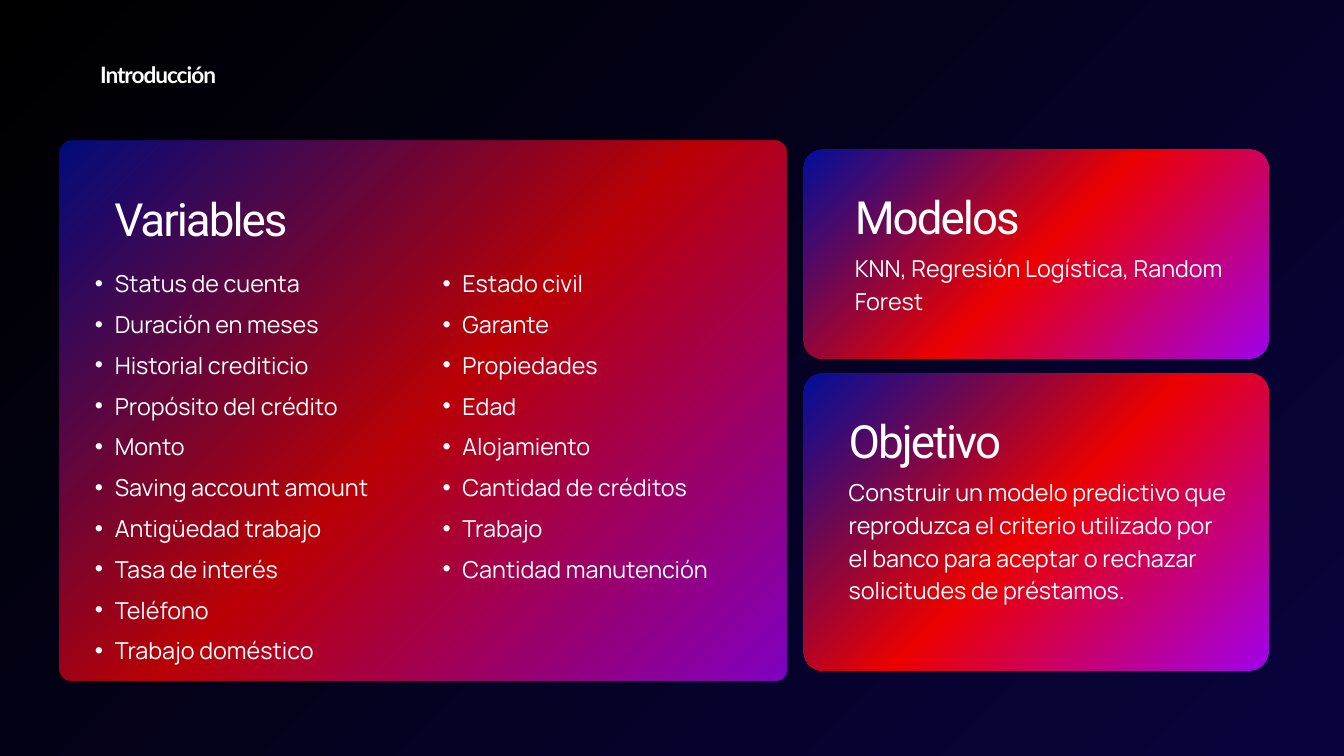
from lxml import etree
from pptx import Presentation, util as u
from pptx.dml.color import RGBColor
from pptx.enum import shapes, text
from pptx.oxml import ns

BLACK = RGBColor(0x00, 0x00, 0x00)
NIGHT = RGBColor(0x09, 0x03, 0x3D)
BLUE = RGBColor(0x00, 0x0F, 0x9B)
RED = RGBColor(0xEB, 0x00, 0x00)
PURPLE = RGBColor(0xA0, 0x00, 0xEB)
WHITE = RGBColor(0xFF, 0xFF, 0xFF)

LEFT_VARIABLES = [
    "Status de cuenta", "Duración en meses", "Historial crediticio",
    "Propósito del crédito", "Monto", "Saving account amount",
    "Antigüedad trabajo", "Tasa de interés", "Teléfono", "Trabajo doméstico",
]
RIGHT_VARIABLES = [
    "Estado civil", "Garante", "Propiedades", "Edad", "Alojamiento",
    "Cantidad de créditos", "Trabajo", "Cantidad manutención",
]
MODELS = "KNN, Regresión Logística, Random Forest"
GOAL = ("Construir un modelo predictivo que reproduzca el criterio utilizado por "
        "el banco para aceptar o rechazar solicitudes de préstamos.")


class Deck:
    """Holds the style and the current slide, with a method per kind of element."""

    def __init__(self, width, height):
        self.presentation = Presentation()
        self.presentation.slide_width = u.Cm(width)
        self.presentation.slide_height = u.Cm(height)
        layout = self.presentation.slide_layouts[3]
        self.slide = self.presentation.slides.add_slide(layout)

    def gradient(self, fill, owner, colors, opacity=100):
        fill.gradient()
        gradient = owner.xpath(".//a:gradFill")[0]
        for child in list(gradient):
            gradient.remove(child)
        stops = etree.SubElement(gradient, ns.qn("a:gsLst"))
        for index, color in enumerate(colors):
            position = 100000 * index // (len(colors) - 1)
            stop = etree.SubElement(stops, ns.qn("a:gs"), pos=str(position))
            value = etree.SubElement(stop, ns.qn("a:srgbClr"), val=str(color))
            if opacity < 100:
                etree.SubElement(value, ns.qn("a:alpha"), val=str(opacity * 1000))
        focus = etree.SubElement(gradient, ns.qn("a:path"), {"path": "circle"})
        etree.SubElement(focus, ns.qn("a:fillToRect"), r="100000", b="100000")

    def background(self, *colors):
        self.gradient(self.slide.background.fill, self.slide._element, colors)

    def card(self, left, top, width, height, radius, opacity=100):
        shape = self.slide.shapes.add_shape(
            shapes.MSO_SHAPE.ROUNDED_RECTANGLE,
            u.Cm(left), u.Cm(top), u.Cm(width), u.Cm(height))
        shape.adjustments[0] = radius / min(width, height)
        shape.shadow.inherit = False
        shape.line.fill.background()
        self.gradient(shape.fill, shape._element, (BLUE, RED, PURPLE), opacity)

    def set_text(self, shape, lines, box, font, size, leading,
                 spacing=0, bold=False, align=text.PP_ALIGN.LEFT):
        shape.left, shape.top, shape.width, shape.height = map(u.Cm, box)
        frame = shape.text_frame
        frame.text = "\n".join(lines)
        frame.word_wrap = True
        frame.auto_size = text.MSO_AUTO_SIZE.NONE
        frame.vertical_anchor = text.MSO_ANCHOR.TOP
        frame.margin_left = frame.margin_right = 0
        frame.margin_top = frame.margin_bottom = 0
        for paragraph in frame.paragraphs:
            paragraph.alignment = align
            paragraph.line_spacing = u.Pt(leading)
            paragraph.space_before = paragraph.space_after = u.Pt(0)
            for run in paragraph.runs:
                run.font.name = font
                run.font.size = u.Pt(size)
                run.font.bold = bold
                run.font.color.rgb = WHITE
                run._r.get_or_add_rPr().set("spc", str(round(spacing * 100)))

    def textbox(self):
        return self.slide.shapes.add_textbox(0, 0, 0, 0)

    def placeholder(self, index):
        shape = self.slide.placeholders[index]
        self.slide.shapes._spTree.append(shape._element)
        return shape

    def title(self, line, *box):
        self.set_text(self.placeholder(0), [line], box, "Lato", 24.2, 33.9, -1.1, True)

    def heading(self, line, *box):
        self.set_text(self.textbox(), [line], box, "Roboto", 49, 68.7, -2.1,
                      align=text.PP_ALIGN.JUSTIFY)

    def body(self, line, *box):
        self.set_text(self.textbox(), [line], box, "Manrope", 25, 35)

    def bullets(self, index, lines, *box):
        shape = self.placeholder(index)
        self.set_text(shape, lines, box, "Manrope", 25, 43.7)
        for paragraph in shape.text_frame.paragraphs:
            paragraph.level = 1
            properties = paragraph._p.get_or_add_pPr()
            properties.set("marL", str(u.Cm(1.5)))
            properties.set("indent", str(u.Cm(-0.75)))
            etree.SubElement(properties, ns.qn("a:buFont"), typeface="Arial")
            etree.SubElement(properties, ns.qn("a:buChar"), char="•")


def main():
    deck = Deck(50.8, 28.58)
    deck.background(BLACK, NIGHT)
    deck.card(2.24, 5.31, 27.5, 20.4, 0.47, opacity=78)
    deck.card(30.38, 14.12, 17.57, 11.23, 0.72)
    deck.card(30.38, 5.66, 17.57, 7.9, 0.72)

    deck.title("Introducción", 3.78, 2.13, 7.47, 1.24)
    deck.heading("Variables", 4.32, 6.88, 15.95, 2.31)
    deck.bullets(1, LEFT_VARIABLES, 2.84, 9.7, 12.9, 15.29)
    deck.bullets(2, RIGHT_VARIABLES, 15.98, 9.7, 12.42, 12.22)
    deck.heading("Modelos", 32.31, 6.78, 13.39, 2.31)
    deck.body(MODELS, 32.31, 9.45, 14.6, 2.44)
    deck.heading("Objetivo", 32.08, 15.24, 13.39, 2.31)
    deck.body(GOAL, 32.08, 17.91, 14.6, 6.1)
    deck.presentation.save("out.pptx")


if __name__ == "__main__":
    main()
